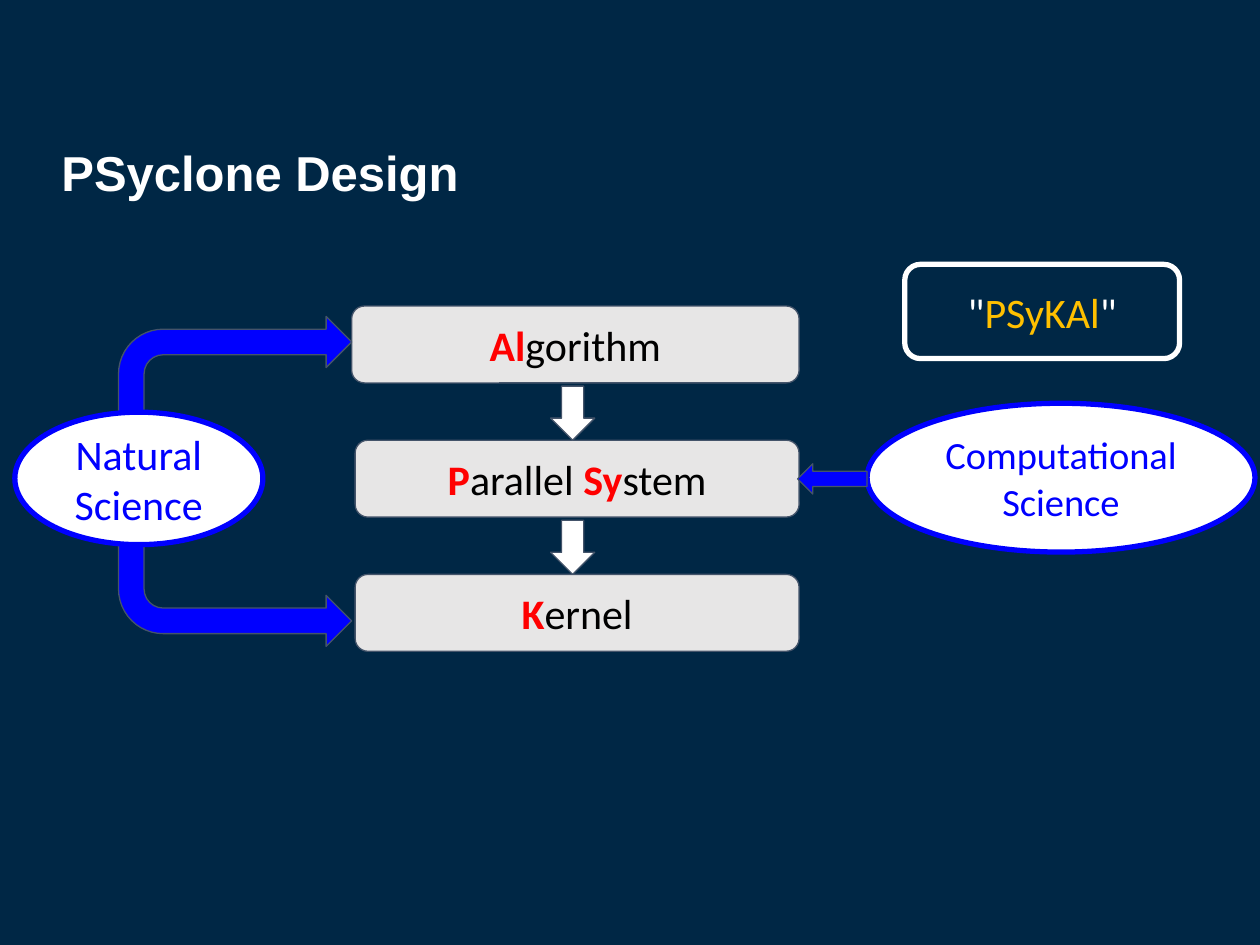
from pptx import Presentation
from pptx.dml.color import RGBColor
from pptx.enum.shapes import MSO_SHAPE as Preset
from pptx.enum.text import MSO_ANCHOR as Anchor, PP_ALIGN as Align
from pptx.util import Cm, Pt

WHITE, BLUE, RED, BLACK = "FFFFFF", "0000FF", "FF0000", "000000"
GREY, SLATE, GOLD, NAVY = "E7E6E6", "44546A", "FFC000", "002745"

# Each layer: runs of (text, colour, bold)
LAYERS = [
    [("Al", RED, True), ("gorithm", BLACK, False)],
    [("P", RED, True), ("arallel ", BLACK, False),
     ("Sy", RED, True), ("stem", BLACK, False)],
    [("K", RED, True), ("ernel", BLACK, False)],
]


def colour(value):
    return RGBColor.from_string(value)


def add_preset(slide, preset, box, fill, line=SLATE, width=0.75):
    shape = slide.shapes.add_shape(preset, *(Cm(length) for length in box))
    shape.shadow.inherit = False
    if fill:
        shape.fill.solid()
        shape.fill.fore_color.rgb = colour(fill)
    else:
        shape.fill.background()
    shape.line.color.rgb = colour(line)
    shape.line.width = Pt(width)
    return shape


def write_label(shape, runs, size=24):
    """Centre one paragraph of (text, colour, bold) runs in the shape."""
    frame = shape.text_frame
    frame.word_wrap = True
    frame.vertical_anchor = Anchor.MIDDLE
    frame.margin_left = frame.margin_right = Cm(0.25)
    frame.margin_top = frame.margin_bottom = Cm(0.25)
    paragraph = frame.paragraphs[0]
    paragraph.alignment = Align.CENTER
    paragraph.font.size = Pt(size)
    paragraph.font.name = "Calibri"
    for text, run_colour, bold in runs:
        for index, part in enumerate(text.split("\n")):
            if index:
                paragraph.add_line_break()
            run = paragraph.add_run()
            run.text = part
            run.font.color.rgb = colour(run_colour)
            run.font.bold = bold


def add_title(slide, box, text):
    frame = slide.shapes.add_textbox(*(Cm(length) for length in box)).text_frame
    frame.word_wrap = True
    frame.vertical_anchor = Anchor.MIDDLE
    paragraph = frame.paragraphs[0]
    paragraph.text = text
    paragraph.line_spacing = 0.9
    paragraph.font.size = Pt(28)
    paragraph.font.name = "Arial"
    paragraph.font.bold = True
    paragraph.font.color.rgb = colour(WHITE)


def add_layers(slide, box):
    """Stack the layers evenly in the box, with a down arrow between neighbours."""
    left, top, width, height = box
    layer_height, arrow_width, arrow_height = 1.55, 0.89, 1.09
    step = (height - layer_height) / (len(LAYERS) - 1)
    for index, runs in enumerate(LAYERS):
        layer_top = top + index * step
        indent = 0.07 if index else 0  # the first layer is slightly wider
        layer = add_preset(slide, Preset.ROUNDED_RECTANGLE,
                           (left + indent, layer_top, width - indent, layer_height), GREY)
        write_label(layer, runs)
        if index:
            add_preset(slide, Preset.DOWN_ARROW,
                       (left + 4.01, layer_top - arrow_height, arrow_width, arrow_height),
                       WHITE)


def add_science(slide, box, text, size):
    oval = add_preset(slide, Preset.OVAL, box, WHITE, BLUE, 3)
    write_label(oval, [(text, BLUE, False)], size)


def add_natural_science(slide, box):
    """Oval at the left, with bent arrows above and below that end at the right edge."""
    left, top, width, height = box
    oval_height, arrow_height, arrow_indent = 2.67, 2.06, 2.09
    for arrow_top, mirrored in ((top, False), (top + height - arrow_height, True)):
        arrow = add_preset(slide, Preset.BENT_ARROW,
                           (left + arrow_indent, arrow_top, width - arrow_indent, arrow_height),
                           BLUE)
        if mirrored:
            arrow.rotation = 180
            arrow._element.spPr.xfrm.set("flipH", "1")
    add_science(slide, (left, top + 1.93, 5, oval_height), "Natural Science", 24)


def add_computational_science(slide, box):
    """Oval at the right, with an arrow that points to the left edge."""
    left, top, width, height = box
    arrow_width, arrow_height = 1.4, 0.61
    add_science(slide, (left + arrow_width, top, width - arrow_width, height),
                "Computational\nScience", 22)
    add_preset(slide, Preset.LEFT_ARROW,
               (left, top + 1.22, arrow_width, arrow_height), BLUE)


def add_acronym(slide, box):
    frame = add_preset(slide, Preset.ROUNDED_RECTANGLE, box, None, WHITE, 3)
    write_label(frame, [('"', WHITE, False), ("PSyKAl", GOLD, False), ('"', WHITE, False)])


def main():
    presentation = Presentation()
    presentation.slide_width, presentation.slide_height = Cm(25.4), Cm(19.05)
    slide = presentation.slides.add_slide(presentation.slide_layouts[6])
    slide.background.fill.solid()
    slide.background.fill.fore_color.rgb = colour(NAVY)

    add_title(slide, (0.99, 2.41, 22.66, 2.26), "PSyclone Design")
    add_layers(slide, (7.09, 6.17, 9.02, 6.96))
    add_computational_science(slide, (16.08, 8.13, 9.22, 3))
    add_natural_science(slide, (0.3, 6.38, 6.79, 6.65))
    add_acronym(slide, (18.24, 5.33, 5.54, 1.9))
    presentation.save("out.pptx")


if __name__ == "__main__":
    main()
